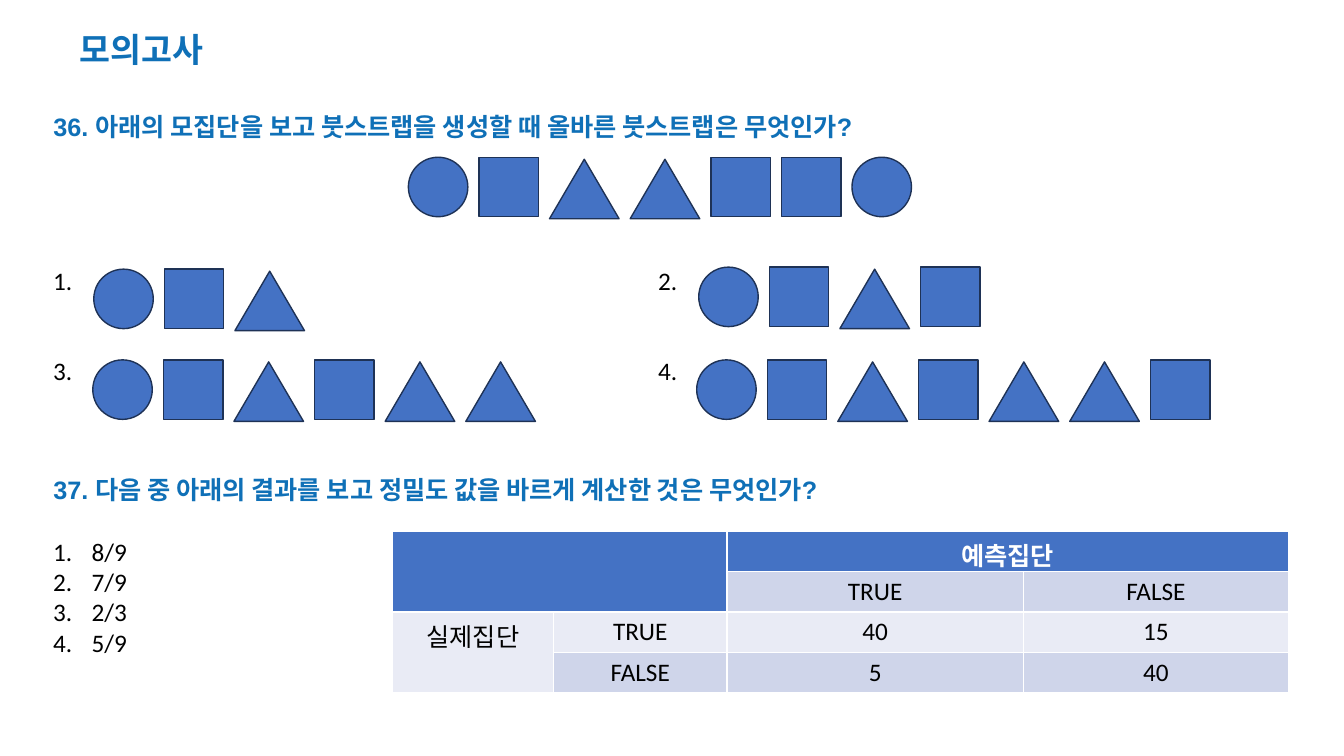
from lxml import etree
from pptx import Presentation
from pptx.dml.color import RGBColor
from pptx.enum import shapes, text
from pptx.oxml.ns import qn
from pptx.util import Inches, Pt

BLUE, OUTLINE, HEADING = "4472C4", "1E3256", "0F70B7"
LIGHT, DARK, BLACK, WHITE = "E9EBF5", "CFD5EA", "000000", "FFFFFF"


def rgb(value):
    return RGBColor.from_string(value)


def write(frame, lines, font="Calibri", size=18, color=BLACK, bold=False):
    """Fill a text frame with one formatted paragraph per line."""
    frame.word_wrap = True
    for i, line in enumerate(lines):
        paragraph = frame.add_paragraph() if i else frame.paragraphs[0]
        run = paragraph.add_run()
        run.text = line
        run.font.color.rgb = rgb(color)
        for name, value in {"name": font, "size": Pt(size), "bold": bold}.items():
            setattr(run.font, name, value)


prs = Presentation()
prs.slide_width, prs.slide_height = Inches(13.33), Inches(7.5)
slide = prs.slides.add_slide(prs.slide_layouts[6])

# Title
title = slide.shapes.add_textbox(0, Inches(0.08), Inches(10), Inches(0.66)).text_frame
title.vertical_anchor = text.MSO_ANCHOR.BOTTOM
title.margin_left = Inches(0.79)
write(title, ["모의고사"], "Arial", 24, HEADING, True)
title.paragraphs[0].line_spacing = 0.9

# Questions
questions = [
    (1.06, "36. 아래의 모집단을 보고 붓스트랩을 생성할 때 올바른 붓스트랩은 무엇인가?"),
    (4.66, "37. 다음 중 아래의 결과를 보고 정밀도 값을 바르게 계산한 것은 무엇인가?"),
]
for top, question in questions:
    box = slide.shapes.add_textbox(Inches(0.43), Inches(top), Inches(12.69), Inches(0.4))
    write(box.text_frame, [question], "Arial", 18, HEADING, True)

# Option numbers of question 36
for number, left, top in [("1.", 0.43, 2.58), ("2.", 6.43, 2.58),
                          ("3.", 0.43, 3.48), ("4.", 6.43, 3.48)]:
    box = slide.shapes.add_textbox(Inches(left), Inches(top), Inches(0.5), Inches(0.4))
    write(box.text_frame, [number])

# Population and samples: C circle, S square, T triangle
figures = {
    "C": (shapes.MSO_SHAPE.OVAL, 0.59, 0),
    "S": (shapes.MSO_SHAPE.RECTANGLE, 0.59, 0),
    "T": (shapes.MSO_SHAPE.ISOSCELES_TRIANGLE, 0.69, 0.02),
}
samples = [
    (4.05, 1.56, "CSTTSSC"),
    (0.93, 2.67, "CST"),
    (6.93, 2.65, "CSTS"),
    (0.92, 3.57, "CSTSTT"),
    (6.91, 3.57, "CSTSTTS"),
]
for left, top, members in samples:
    for member in members:
        kind, width, drop = figures[member]
        figure = slide.shapes.add_shape(kind, Inches(left), Inches(top + drop),
                                        Inches(width), Inches(0.59))
        figure.shadow.inherit = False
        figure.fill.solid()
        figure.fill.fore_color.rgb = rgb(BLUE)
        figure.line.color.rgb = rgb(OUTLINE)
        figure.line.width = Pt(1)
        left += width + 0.11

# Answers of question 37
answers = slide.shapes.add_textbox(Inches(0.43), Inches(5.27), Inches(3), Inches(1.3)).text_frame
write(answers, ["8/9", "7/9", "2/3", "5/9"])
for paragraph in answers.paragraphs:
    properties = paragraph._p.get_or_add_pPr()
    properties.set("marL", str(Inches(0.38)))
    properties.set("indent", str(-Inches(0.38)))
    etree.SubElement(properties, qn("a:buFont"), typeface="+mj-lt")
    etree.SubElement(properties, qn("a:buAutoNum"), type="arabicPeriod")

# Confusion matrix
matrix = slide.shapes.add_table(4, 4, Inches(3.89), Inches(5.27), Inches(8.89), Inches(1.6)).table
for column, width in zip(matrix.columns, [1.6, 1.72, 2.94, 2.63]):
    column.width = Inches(width)
rows = [
    (["", "", "예측집단", ""], [BLUE] * 4),
    (["", "", "TRUE", "FALSE"], [BLUE, BLUE, DARK, DARK]),
    (["실제집단", "TRUE", "40", "15"], [LIGHT] * 4),
    (["", "FALSE", "5", "40"], [LIGHT, DARK, DARK, DARK]),
]
for r, (values, fills) in enumerate(rows):
    matrix.rows[r].height = Inches(0.4)
    for c, (value, fill) in enumerate(zip(values, fills)):
        cell = matrix.cell(r, c)
        cell.fill.solid()
        cell.fill.fore_color.rgb = rgb(fill)
        if value:
            header = r == 0
            write(cell.text_frame, [value], color=WHITE if header else BLACK, bold=header)
            cell.text_frame.paragraphs[0].alignment = text.PP_ALIGN.CENTER
for first, last in [((0, 0), (1, 1)), ((0, 2), (0, 3)), ((2, 0), (3, 0))]:
    matrix.cell(*first).merge(matrix.cell(*last))

prs.save("out.pptx")
